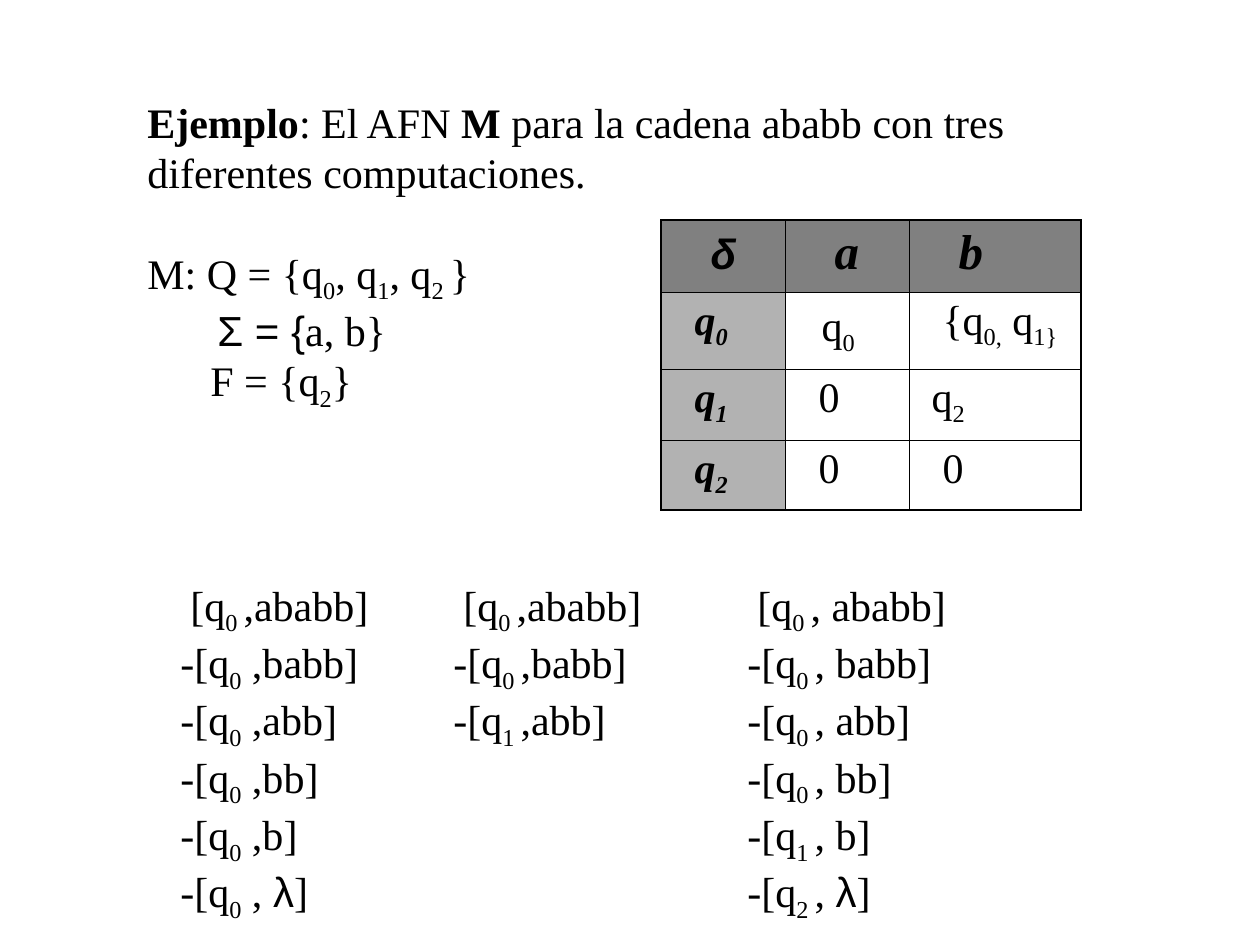
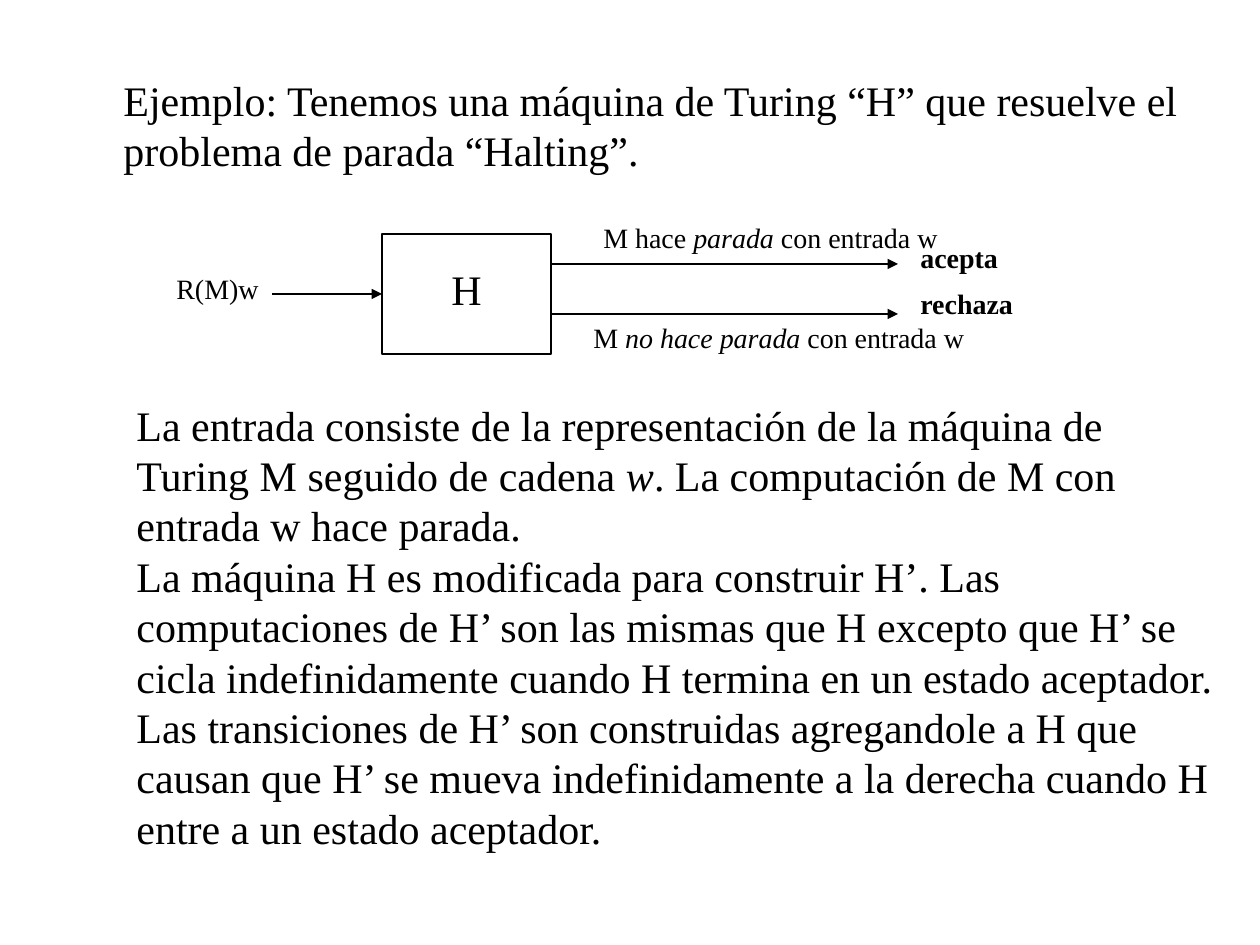
from dataclasses import dataclass
from typing import NamedTuple

from lxml.etree import SubElement as Sub
from pptx import Presentation
from pptx.dml.color import RGBColor as Rgb
from pptx.enum.shapes import MSO_CONNECTOR as Link, MSO_SHAPE as Kind
from pptx.enum.text import MSO_ANCHOR as Anchor, MSO_AUTO_SIZE as Auto, PP_ALIGN as Align
from pptx.oxml.ns import qn
from pptx.util import Pt

SCALE = 914400 / 126
INK = {"black": "000000", "head": "808080", "side": "B2B2B2"}
SERIF, SANS = "Times New Roman", "Arial"
FLAGS = "*/_~"
THIN, THICK = 0.45, 1.08


class Line(NamedTuple):
    """A paragraph; pieces split by | open with * bold, / italic, _ low, ~ sans."""
    text: str
    indent: int = 0
    before: float = 0


@dataclass
class Box:
    """A text box in px."""
    x: int
    y: int
    w: int
    h: int
    lines: list[Line]
    size: int = 24
    wrap: bool = False
    pack: float = 1


class Cell(NamedTuple):
    """A table cell; drop is extra px above the text."""
    text: str
    indent: int = 21
    size: int = 24
    drop: int = 0


class Arrow(NamedTuple):
    """A level arrow in px."""
    start: int
    end: int
    y: int


def px(size: float) -> int:
    """Turn px into EMU."""
    return round(size * SCALE)


def tint(name: str) -> Rgb:
    """Look up a colour."""
    return Rgb.from_string(INK[name])


def write(para, line: Line, size: int) -> None:
    """Fill a paragraph with styled runs."""
    if line.indent:
        para._p.get_or_add_pPr().set("marL", str(px(line.indent)))
    if line.before:
        para.space_before = Pt(line.before)
    for piece in line.text.split("|"):
        word = piece.lstrip(FLAGS)
        marks = piece[:len(piece) - len(word)]
        run = para.add_run()
        run.text = word
        font = run.font
        font.size, font.name = Pt(size), SANS if "~" in marks else SERIF
        font.bold, font.italic = "*" in marks, "/" in marks
        font.color.rgb = tint("black")
        if "_" in marks:
            run._r.get_or_add_rPr().set("baseline", "-25000")


def add_box(slide, box: Box) -> None:
    """Draw a text box."""
    frame = slide.shapes.add_textbox(*map(px, (box.x, box.y, box.w, box.h))).text_frame
    frame.word_wrap, frame.auto_size = box.wrap, Auto.SHAPE_TO_FIT_TEXT
    for i, line in enumerate(box.lines):
        para = frame.add_paragraph() if i else frame.paragraphs[0]
        if box.pack != 1:
            para.line_spacing = box.pack
        write(para, line, box.size)


def add_edge(cell, side: str, width: float) -> None:
    """Draw one border of a cell."""
    edge = Sub(cell._tc.get_or_add_tcPr(), qn(f"a:ln{side}"), w=str(Pt(width)))
    Sub(Sub(edge, qn("a:solidFill")), qn("a:srgbClr"), val=INK["black"])


def add_grid(slide, x: int, y: int, cols: list[int], rows: list[int],
             cells: list[list[Cell]]) -> None:
    """Draw the table of moves."""
    frame = slide.shapes.add_table(len(rows), len(cols), px(x), px(y),
                                   px(sum(cols)), px(sum(rows)))
    table = frame.table
    table.first_row = table.horz_banding = False
    for col, wide in zip(table.columns, cols):
        col.width = px(wide)
    for r, (high, items) in enumerate(zip(rows, cells)):
        table.rows[r].height = px(high)
        for c, item in enumerate(items):
            cell = table.cell(r, c)
            outer = {"L": c == 0, "R": c == len(cols) - 1,
                     "T": r == 0, "B": r == len(rows) - 1}
            for side, rim in outer.items():
                add_edge(cell, side, THICK if rim else THIN)
            if r == 0 or c == 0:
                cell.fill.solid()
                cell.fill.fore_color.rgb = tint("side" if r else "head")
            else:
                cell.fill.background()
            cell.margin_top = px(6 + item.drop)
            write(cell.text_frame.paragraphs[0], Line(item.text, item.indent), item.size)


def add_block(slide, x: int, y: int, w: int, h: int, text: str):
    """Draw the machine as a rectangle."""
    block = slide.shapes.add_shape(Kind.RECTANGLE, *map(px, (x, y, w, h)))
    block.shadow.inherit = False
    block.fill.background()
    block.line.color.rgb, block.line.width = tint("black"), Pt(0.75)
    block.text_frame.vertical_anchor = Anchor.MIDDLE
    block.text_frame.margin_bottom = px(16)
    para = block.text_frame.paragraphs[0]
    para.alignment = Align.CENTER
    write(para, Line(text), 24)
    return block


def add_arrow(slide, arrow: Arrow):
    """Draw an arrow."""
    link = slide.shapes.add_connector(Link.STRAIGHT, px(arrow.start), px(arrow.y),
                                      px(arrow.end), px(arrow.y))
    link.line.color.rgb, link.line.width = tint("black"), Pt(0.75)
    Sub(link.line._get_or_add_ln(), qn("a:tailEnd"), type="triangle")
    Sub(link._element.spPr, qn("a:effectLst"))
    return link


INTRO = Box(135, 90, 926, 379, [
    Line("*Ejemplo|: El AFN |*M| para la cadena ababb con tres diferentes computaciones."),
    Line("M: Q = {q|_0|, q|_1|, q|_2 |}", before=28.7),
    Line("~Σ = {|a, b}", 70),
    Line("F = {q|_2|}", 63),
], wrap=True)

MOVES = [
    [Cell("*/~δ", 37, 24, 6), Cell("*/a", 37, 28), Cell("*/b", 37, 28)],
    [Cell("*/q|*/_0"), Cell("q|_0", 24, 24, 6), Cell("{q|_0,| q|_1}")],
    [Cell("*/q|*/_1"), Cell("0"), Cell("q|_2", 10)],
    [Cell("*/q|*/_2"), Cell("0"), Cell("0")],
]

TRACES = [
    (168, 213, ["[q|_0 |,ababb]", "-[q|_0| ,babb]", "-[q|_0| ,abb]", "-[q|_0| ,bb]",
                "-[q|_0| ,b]", "-[q|_0| , |~λ|]"]),
    (441, 213, ["[q|_0 |,ababb]", "-[q|_0 |,babb]", "-[q|_1 |,abb]"]),
    (735, 224, ["[q|_0 |, ababb]", "-[q|_0 |, babb]", "-[q|_0 |, abb]", "-[q|_0 |, bb]",
                "-[q|_1 |, b]", "-[q|_2 |, |~λ|]"]),
]

HALT = [
    Box(111, 68, 1104, 164, [Line(
        "Ejemplo: Tenemos una máquina de Turing “H” que resuelve el problema de parada "
        "“Halting”.")], wrap=True),
    Box(164, 265, 107, 47, [Line("R(M)w")], 16),
    Box(908, 243, 118, 83, [Line("*acepta"), Line("*rechaza", before=13)], 16, pack=0.7),
    Box(591, 214, 364, 47, [Line("M hace |/parada| con entrada w")], 16),
    Box(581, 314, 400, 47, [Line("M |/no hace parada| con entrada w")], 16),
    Box(124, 393, 1104, 466, [
        Line("La entrada consiste de la representación de la máquina de Turing M seguido "
             "de cadena |/w|. La computación de M con entrada w hace parada."),
        Line("La máquina H es modificada para construir H’. Las computaciones de H’ son "
             "las mismas que H excepto que H’ se cicla indefinidamente cuando H termina "
             "en un estado aceptador. Las transiciones de H’ son construidas agregandole "
             "a H que causan que H’ se mueva indefinidamente a la derecha cuando H entre "
             "a un estado aceptador."),
    ], wrap=True),
]


def draw_runs(slide) -> None:
    """Draw the automaton and its runs."""
    add_box(slide, INTRO)
    add_grid(slide, 661, 220, [124, 124, 172], [72, 77, 71, 70], MOVES)
    for x, wide, steps in TRACES:
        lines = [Line(step, 0 if i else 10) for i, step in enumerate(steps)]
        add_box(slide, Box(x, 573, wide, 57 * len(lines) + 13, lines))


def draw_halt(slide) -> None:
    """Draw the halting machine."""
    block = add_block(slide, 382, 234, 169, 120, "H")
    add_arrow(slide, Arrow(272, 382, 294)).end_connect(block, 1)
    for y in (264, 314):
        add_arrow(slide, Arrow(551, 898, y))
    for box in HALT:
        add_box(slide, box)


def main() -> None:
    """Build the deck."""
    deck = Presentation()
    deck.slide_width, deck.slide_height = px(1260), px(945)
    for draw in (draw_runs, draw_halt):
        draw(deck.slides.add_slide(deck.slide_layouts[6]))
    deck.save("out.pptx")


if __name__ == "__main__":
    main()
